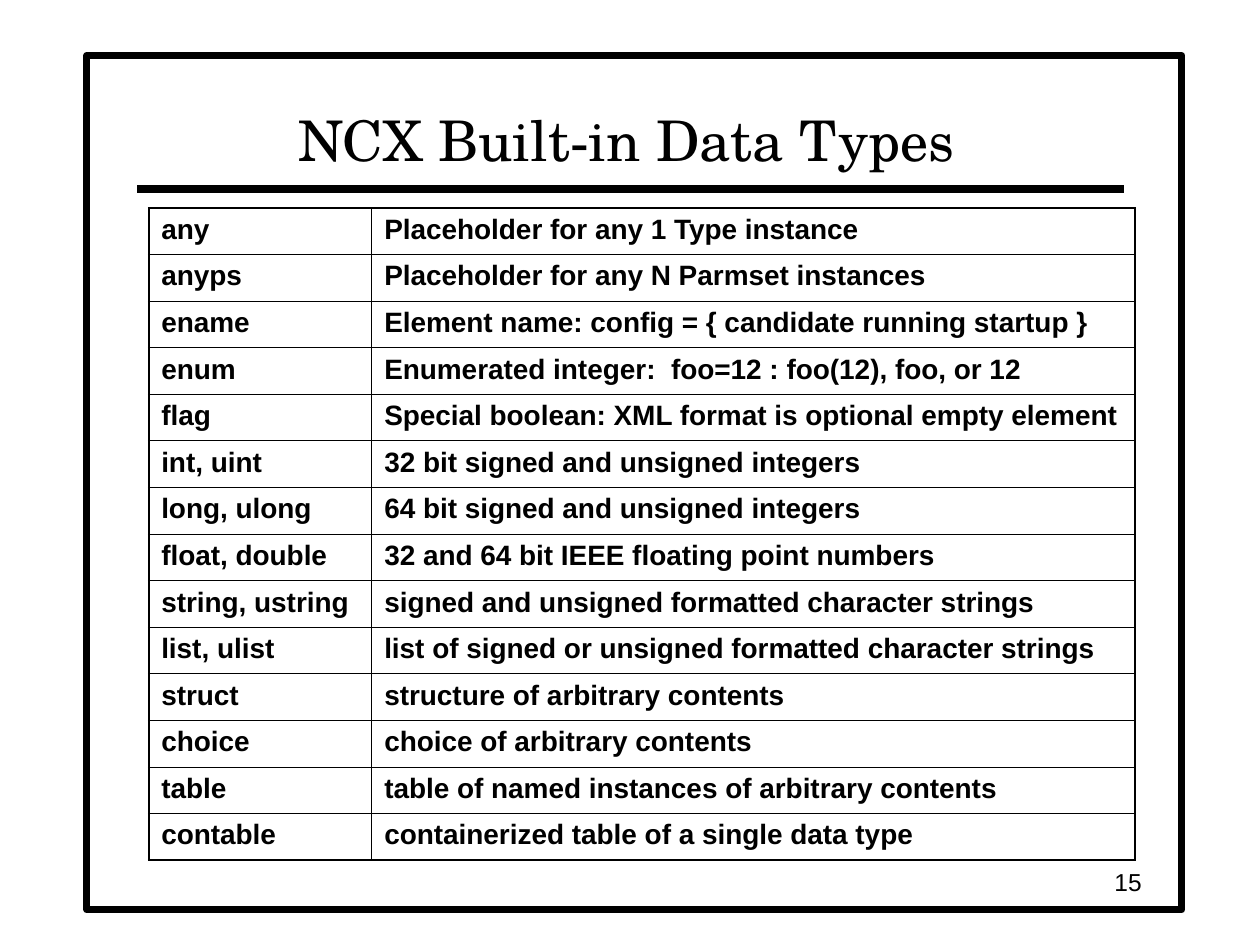
from pptx import Presentation
from pptx import util as u
from pptx.dml.color import RGBColor
from pptx.enum import shapes, text
from pptx.oxml.ns import qn
from lxml import etree

# Content
TITLE = "NCX Built-in Data Types"
PAGE = "15"
TYPES = [
    ("any", "Placeholder for any 1 Type instance"),
    ("anyps", "Placeholder for any N Parmset instances"),
    ("ename", "Element name: config = { candidate running startup }"),
    ("enum", "Enumerated integer:  foo=12 : foo(12), foo, or 12"),
    ("flag", "Special boolean: XML format is optional empty element"),
    ("int, uint", "32 bit signed and unsigned integers"),
    ("long, ulong", "64 bit signed and unsigned integers"),
    ("float, double", "32 and 64 bit IEEE floating point numbers"),
    ("string, ustring", "signed and unsigned formatted character strings"),
    ("list, ulist", "list of signed or unsigned formatted character strings"),
    ("struct", "structure of arbitrary contents"),
    ("choice", "choice of arbitrary contents"),
    ("table", "table of named instances of arbitrary contents"),
    ("contable", "containerized table of a single data type"),
]
BLACK, WHITE = "000000", "FFFFFF"
COLS, ROW = (1.77, 6.06), 0.37
OUTER, INNER = 1.08, 0.45


def color(code):
    return RGBColor.from_string(code)


def box(*dims):
    return [u.Inches(d) for d in dims]


def style(par, face, size, bold=False, align=None):
    par.alignment = align
    font = par.font
    font.name, font.size, font.bold = face, u.Pt(size), bold
    font.color.rgb = color(BLACK)


def label(words, dims, anchor, face, size, align):
    frame = slide.shapes.add_textbox(*box(*dims)).text_frame
    frame.word_wrap = True
    frame.vertical_anchor = anchor
    frame.text = words
    style(frame.paragraphs[0], face, size, align=align)


def border(cell, side, width):
    line = etree.SubElement(cell._tc.get_or_add_tcPr(), qn("a:ln" + side),
                            w=str(u.Pt(width)))
    fill = etree.SubElement(line, qn("a:solidFill"))
    etree.SubElement(fill, qn("a:srgbClr"), val=BLACK)


deck = Presentation()
deck.slide_width, deck.slide_height = box(10, 7.5)
slide = deck.slides.add_slide(deck.slide_layouts[6])

# Frame and rule under the title
frame = slide.shapes.add_shape(shapes.MSO_SHAPE.RECTANGLE,
                               *box(0.69, 0.44, 8.69, 6.78))
frame.shadow.inherit = False
frame.fill.solid()
frame.fill.fore_color.rgb = color(WHITE)
rule = slide.shapes.add_connector(shapes.MSO_CONNECTOR.STRAIGHT,
                                  *box(1.09, 1.5, 8.92, 1.5))
etree.SubElement(rule._element.spPr, qn("a:effectLst"))
for part, width in ((frame, 4), (rule, 4.5)):
    part.line.color.rgb = color(BLACK)
    part.line.width = u.Pt(width)

# Title
label(TITLE, (1.08, 0.5, 7.79, 0.92), text.MSO_ANCHOR.BOTTOM,
      "TeX Gyre Schola", 32, text.PP_ALIGN.CENTER)

# Table of types: heavier lines around the outside
count = len(TYPES)
grid = slide.shapes.add_table(
    count, len(COLS), *box(1.18, 1.65, sum(COLS), ROW * count)).table
grid.first_row = grid.horz_banding = False
for col, width in zip(grid.columns, COLS):
    col.width = u.Inches(width)
for r, entry in enumerate(TYPES):
    grid.rows[r].height = u.Inches(ROW)
    for c, words in enumerate(entry):
        cell = grid.cell(r, c)
        cell.text = words
        style(cell.text_frame.paragraphs[0], "Arial", 16, bold=True)
        edges = {"L": c == 0, "R": c == len(COLS) - 1,
                 "T": r == 0, "B": r == count - 1}
        for side, outer in edges.items():
            border(cell, side, OUTER if outer else INNER)
        cell.fill.background()

# Page number
label(PAGE, (7.08, 6.83, 2.08, 0.33), text.MSO_ANCHOR.MIDDLE,
      "Arial", 14, text.PP_ALIGN.RIGHT)

deck.save("out.pptx")
